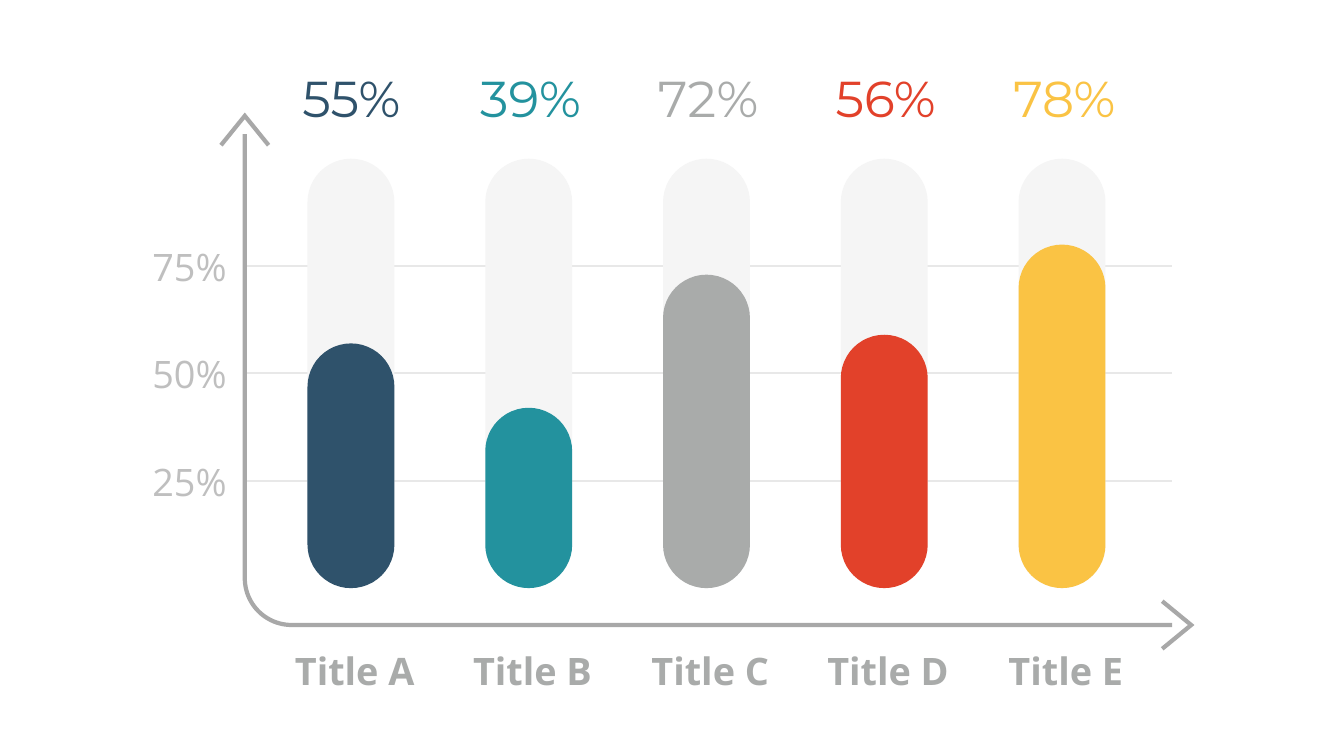
"""Build a slide with five capsule bars on a rounded axis."""
from math import cos, pi, sin

from lxml.etree import SubElement
from pptx import Presentation
from pptx.dml.color import RGBColor
from pptx.enum.shapes import MSO_CONNECTOR as CONN, MSO_SHAPE as SHAPE
from pptx.enum.text import PP_ALIGN as ALIGN
from pptx.oxml.ns import qn
from pptx.util import Cm, Pt

BARS = [
    ("Title A", "55%", 0.57, "2F526B"),
    ("Title B", "39%", 0.42, "23929E"),
    ("Title C", "72%", 0.73, "A9ABAA"),
    ("Title D", "56%", 0.59, "E2412A"),
    ("Title E", "78%", 0.80, "FAC344"),
]
BAR_LEFT, BAR_PITCH, BAR_WIDTH = 7.75, 4.48, 2.19
BAR_BOTTOM, BAR_HEIGHT = 14.82, 10.82
AXIS_X, AXIS_Y, AXIS_TOP, AXIS_RIGHT, CORNER = 6.17, 15.75, 3.38, 29.54, 1.18
GRID_Y, GRID_STEP = 12.12, 2.71
AXIS_GRAY = "A8A8A8"


def rgb(color):
    return RGBColor.from_string(color)


def add_text(s, x, y, w, h, text, font, size, color, bold=False, align=ALIGN.LEFT):
    tf = s.shapes.add_textbox(Cm(x), Cm(y), Cm(w), Cm(h)).text_frame
    tf.word_wrap = True
    tf.margin_left = tf.margin_right = tf.margin_top = tf.margin_bottom = 0
    p = tf.paragraphs[0]
    p.text = text
    p.alignment = align
    p.font.name, p.font.size, p.font.bold = font, Pt(size), bold
    p.font.color.rgb = rgb(color)


def add_grid_line(s, y):
    cx = s.shapes.add_connector(CONN.STRAIGHT, Cm(AXIS_X), Cm(y), Cm(AXIS_RIGHT), Cm(y))
    cx.line.color.rgb = rgb("E8E8E8")
    cx.line.width = Pt(1.37)
    SubElement(cx._element.spPr, qn("a:effectLst"))


def add_path(s, points):
    start, *rest = [(Cm(x), Cm(y)) for x, y in points]
    fb = s.shapes.build_freeform(*start)
    fb.add_line_segments(rest, close=False)
    sp = fb.convert_to_shape()
    sp.shadow.inherit = False
    sp.fill.background()
    sp.line.color.rgb = rgb(AXIS_GRAY)
    sp.line.width = Pt(3)
    SubElement(sp._element.spPr.get_or_add_ln(), qn("a:miter"), lim="800000")


def add_capsule(s, x, height, color):
    sp = s.shapes.add_shape(SHAPE.ROUNDED_RECTANGLE, Cm(x), Cm(BAR_BOTTOM - height),
                            Cm(BAR_WIDTH), Cm(height))
    sp.adjustments[0] = 0.5
    sp.shadow.inherit = False
    sp.fill.solid()
    sp.fill.fore_color.rgb = rgb(color)
    sp.line.fill.background()


def add_axis(s):
    angles = [i * pi / 48 for i in range(25)]
    corner = [(AXIS_X + CORNER * (1 - cos(a)), AXIS_Y - CORNER * (1 - sin(a)))
              for a in angles]
    add_path(s, [(AXIS_X, AXIS_TOP), *corner, (AXIS_RIGHT, AXIS_Y)])
    add_path(s, [(AXIS_X - 0.6, 3.66), (AXIS_X, 2.92), (AXIS_X + 0.6, 3.66)])
    add_path(s, [(29.29, AXIS_Y - 0.6), (30.02, AXIS_Y), (29.29, AXIS_Y + 0.6)])


def add_bar(s, x, title, value, level, color):
    add_capsule(s, x, BAR_HEIGHT, "F5F5F5")
    add_capsule(s, x, BAR_HEIGHT * level, color)
    add_text(s, x - 0.64, 16.31, 3.66, 1.37, title, "Open Sans", 27, "A9ABAA",
             bold=True, align=ALIGN.CENTER)
    add_text(s, x - 0.13, 1.7, 2.8, 1.55, value, "Montserrat", 36, color)


def main():
    prs = Presentation()
    prs.slide_width, prs.slide_height = Cm(33.87), Cm(19.05)
    s = prs.slides.add_slide(prs.slide_layouts[6])
    for i, label in enumerate(["25%", "50%", "75%"]):
        y = GRID_Y - i * GRID_STEP
        add_grid_line(s, y)
        add_text(s, 3.84, y - 0.56, 2.2, 1.65, label, "Open Sans", 27, "BFBFBF")
    add_axis(s)
    for i, bar in enumerate(BARS):
        add_bar(s, BAR_LEFT + i * BAR_PITCH, *bar)
    prs.save("out.pptx")


main()
